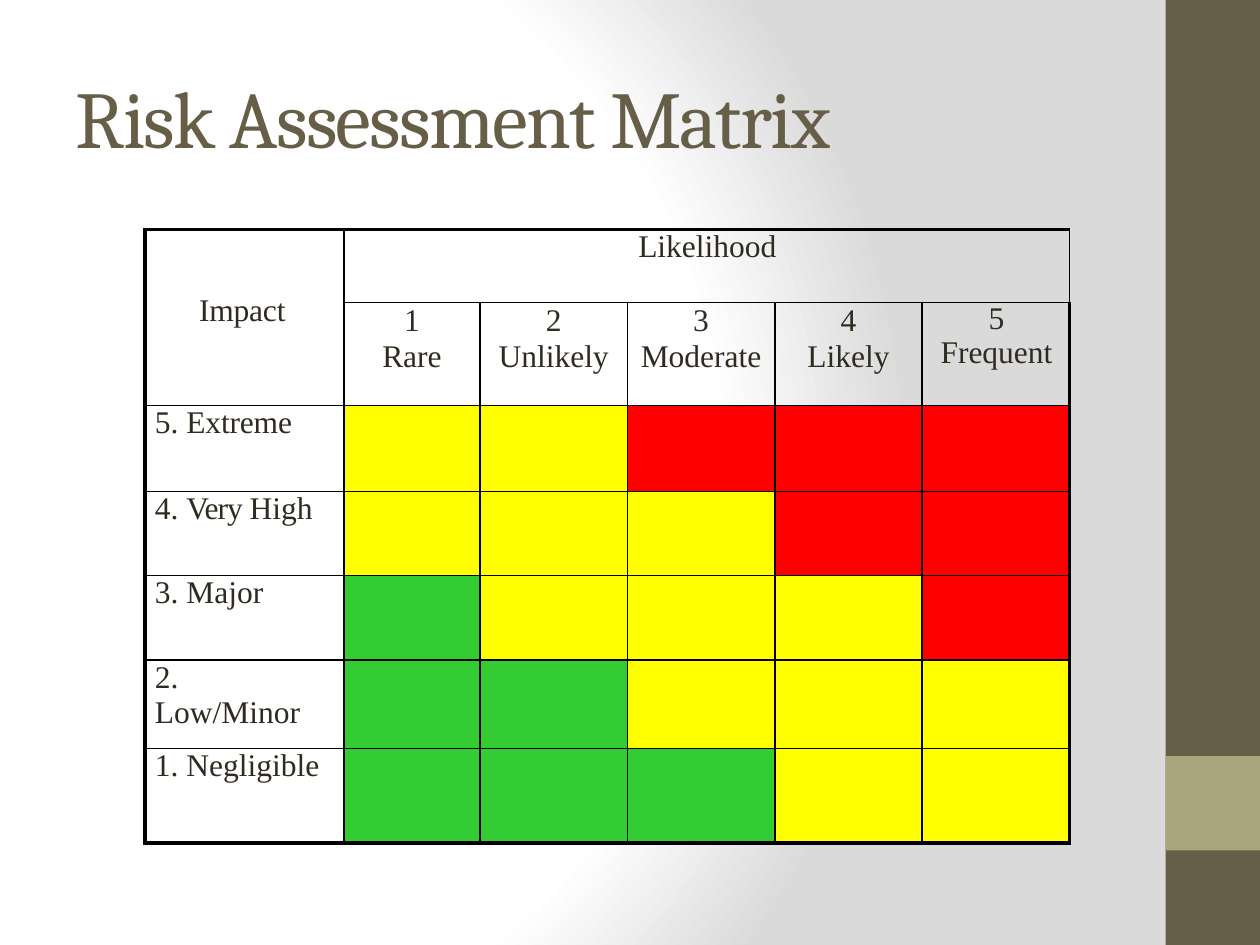
from pptx import Presentation
from pptx.dml.color import RGBColor
from pptx.enum.shapes import MSO_SHAPE
from pptx.enum.text import MSO_ANCHOR, PP_ALIGN
from pptx.oxml import parse_xml
from pptx.oxml.ns import nsdecls
from pptx.util import Inches, Pt

COLORS = {
    "title": "675E47", "band": "675E47", "accent": "A9A57C", "text": "2F2B20",
    "border": "000000", "light": "FFFFFF", "shade": "DADADA",
    "low": "33CC33", "medium": "FFFF00", "high": "FF0000",
}
TITLE_FONT = {"name": "Cambria", "size": Pt(46)}
TABLE_FONT = {"name": "Times New Roman", "size": Pt(18)}

COLUMN_WIDTHS = [1.58, 1.08] + [1.17] * 4
ROW_HEIGHTS = [0.58, 0.82, 0.68, 0.67, 0.67, 0.7, 0.75]
LIKELIHOODS = ["Rare", "Unlikely", "Moderate", "Likely", "Frequent"]
# Each impact: space before, then paragraphs of (text, letter spacing) spans
IMPACTS = [
    (12.7, [[("5. ", 0), ("Extreme", -0.1)]]),
    (12.2, [[("4. ", 0), ("Very ", -0.6), ("High", 0)]]),
    (12.2, [[("3. Major", 0)]]),
    (2.5, [[("2.", 0)], [("Low/Minor", 0)]]),
    (15.2, [[("1. Negligible", 0)]]),
]


def rgb(name):
    return RGBColor.from_string(COLORS[name])


def add_span(para, text, font, color, spacing=0):
    span = para.add_run()
    span.text = text
    for key, value in font.items():
        setattr(span.font, key, value)
    span.font.color.rgb = rgb(color)
    if spacing:
        span.font._element.set("spc", str(round(spacing * 100)))


def set_background(page):
    stops = "".join(
        f'<a:gs pos="{position * 1000}"><a:srgbClr val="{COLORS[name]}"/></a:gs>'
        for position, name in [(0, "light"), (75, "light"), (100, "shade")])
    page.element.cSld.insert(0, parse_xml(
        f'<p:bg {nsdecls("p", "a")}><p:bgPr><a:gradFill rotWithShape="1">'
        f'<a:gsLst>{stops}</a:gsLst><a:path path="circle">'
        '<a:fillToRect l="20000" t="50000" r="100000" b="50000"/></a:path>'
        '</a:gradFill><a:effectLst/></p:bgPr></p:bg>'))


def add_side_band(page, left, top, width, height):
    accent_box = (left, Inches(6), width, width)
    for box, color in [((left, top, width, height), "band"), (accent_box, "accent")]:
        band = page.shapes.add_shape(MSO_SHAPE.RECTANGLE, *box)
        band.shadow.inherit = False
        band.fill.solid()
        band.fill.fore_color.rgb = rgb(color)
        band.line.fill.background()


def add_title(page, left, top, width, height):
    title = page.shapes.title
    title.left, title.top, title.width, title.height = left, top, width, height
    title.text_frame.vertical_anchor = MSO_ANCHOR.MIDDLE
    para = title.text_frame.paragraphs[0]
    para.alignment = PP_ALIGN.LEFT
    add_span(para, "Risk Assessment Matrix", TITLE_FONT, "title", -1)


def set_borders(cell, row, column):
    outer = {"L": column == 0, "R": column == len(COLUMN_WIDTHS) - 1,
             "T": row == 0, "B": row == len(ROW_HEIGHTS) - 1}
    properties = cell._tc.get_or_add_tcPr()
    for side, is_outer in outer.items():
        width = Pt(2.25 if is_outer else 1)
        properties.append(parse_xml(
            f'<a:ln{side} {nsdecls("a")} w="{width}"><a:solidFill>'
            f'<a:srgbClr val="{COLORS["border"]}"/></a:solidFill></a:ln{side}>'))


def write_cell(cell, paragraphs, space_before=0, indent=0, **formats):
    for side in ("left", "right", "top", "bottom"):
        setattr(cell, f"margin_{side}", 0)
    frame = cell.text_frame
    for index, spans in enumerate(paragraphs):
        para = frame.add_paragraph() if index else frame.paragraphs[0]
        para.space_before = Pt(0 if index else space_before)
        para._p.get_or_add_pPr().set("marL", str(Inches(indent)))
        for key, value in formats.items():
            setattr(para, key, value)
        for text, spacing in spans:
            add_span(para, text, TABLE_FONT, "text", spacing)


def risk_level(impact, likelihood):
    score = impact + likelihood
    return "low" if score <= 4 else "medium" if score <= 7 else "high"


def add_matrix(page, left, top, width, height):
    table = page.shapes.add_table(
        len(ROW_HEIGHTS), len(COLUMN_WIDTHS), left, top, width, height).table
    table.first_row = table.horz_banding = False
    for column, size in zip(table.columns, COLUMN_WIDTHS):
        column.width = Inches(size)
    for row, size in zip(table.rows, ROW_HEIGHTS):
        row.height = Inches(size)

    # Borders and risk colours
    for row in range(len(ROW_HEIGHTS)):
        for column in range(len(COLUMN_WIDTHS)):
            cell = table.cell(row, column)
            set_borders(cell, row, column)
            if row >= 2 and column >= 1:
                cell.fill.solid()
                cell.fill.fore_color.rgb = rgb(risk_level(7 - row, column))
            else:
                cell.fill.background()

    # Merged headings
    impact, likelihood = table.cell(0, 0), table.cell(0, 1)
    impact.merge(table.cell(1, 0))
    likelihood.merge(table.cell(0, 5))
    write_cell(impact, [[("Impact", -0.1)]], indent=0.43)
    impact.vertical_anchor = MSO_ANCHOR.MIDDLE
    impact.margin_bottom = Inches(0.1)
    write_cell(likelihood, [[("Likelihood", 0)]], 8.5, 0.01,
               alignment=PP_ALIGN.CENTER)

    # Likelihood and impact scales
    for number, name in enumerate(LIKELIHOODS, 1):
        is_last = number == len(LIKELIHOODS)
        write_cell(table.cell(1, number), [[(str(number), 0)], [(name, 0)]],
                   6.8, 0.01 if is_last else 0, alignment=PP_ALIGN.CENTER,
                   line_spacing=Pt(19.4 if is_last else 20.6))
    for row, (space_before, paragraphs) in enumerate(IMPACTS, 2):
        write_cell(table.cell(row, 0), paragraphs, space_before, 0.08)


def main():
    deck = Presentation()
    deck.slide_width, deck.slide_height = Inches(10), Inches(7.5)
    page = deck.slides.add_slide(deck.slide_layouts.get_by_name("Title Only"))
    set_background(page)
    add_side_band(page, Inches(9.25), 0, Inches(0.75), deck.slide_height)
    add_title(page, Inches(0.5), Inches(0.3), Inches(8.33), Inches(1.25))
    add_matrix(page, Inches(1.15), Inches(1.82), Inches(7.33), Inches(4.87))
    deck.save("out.pptx")


if __name__ == "__main__":
    main()
